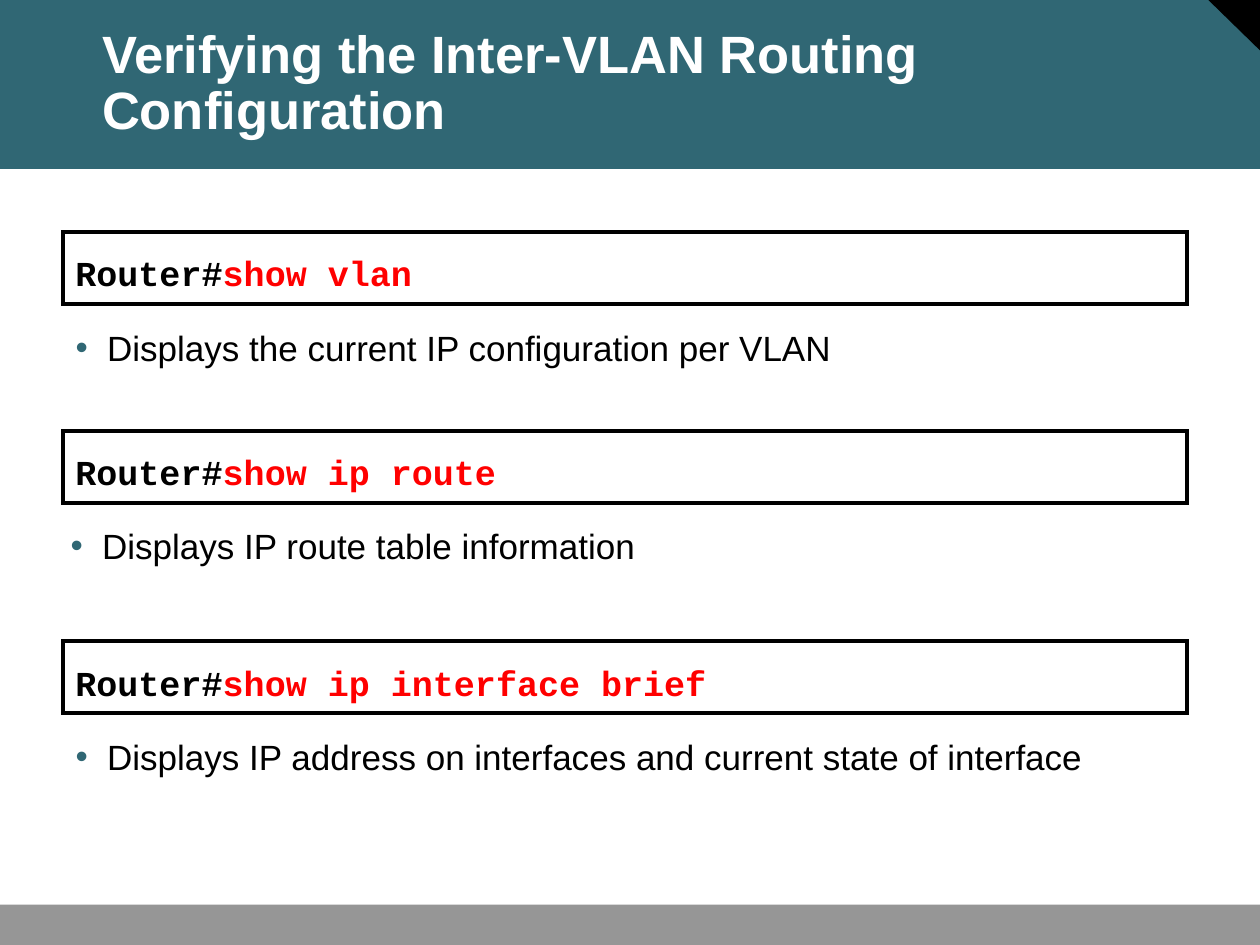
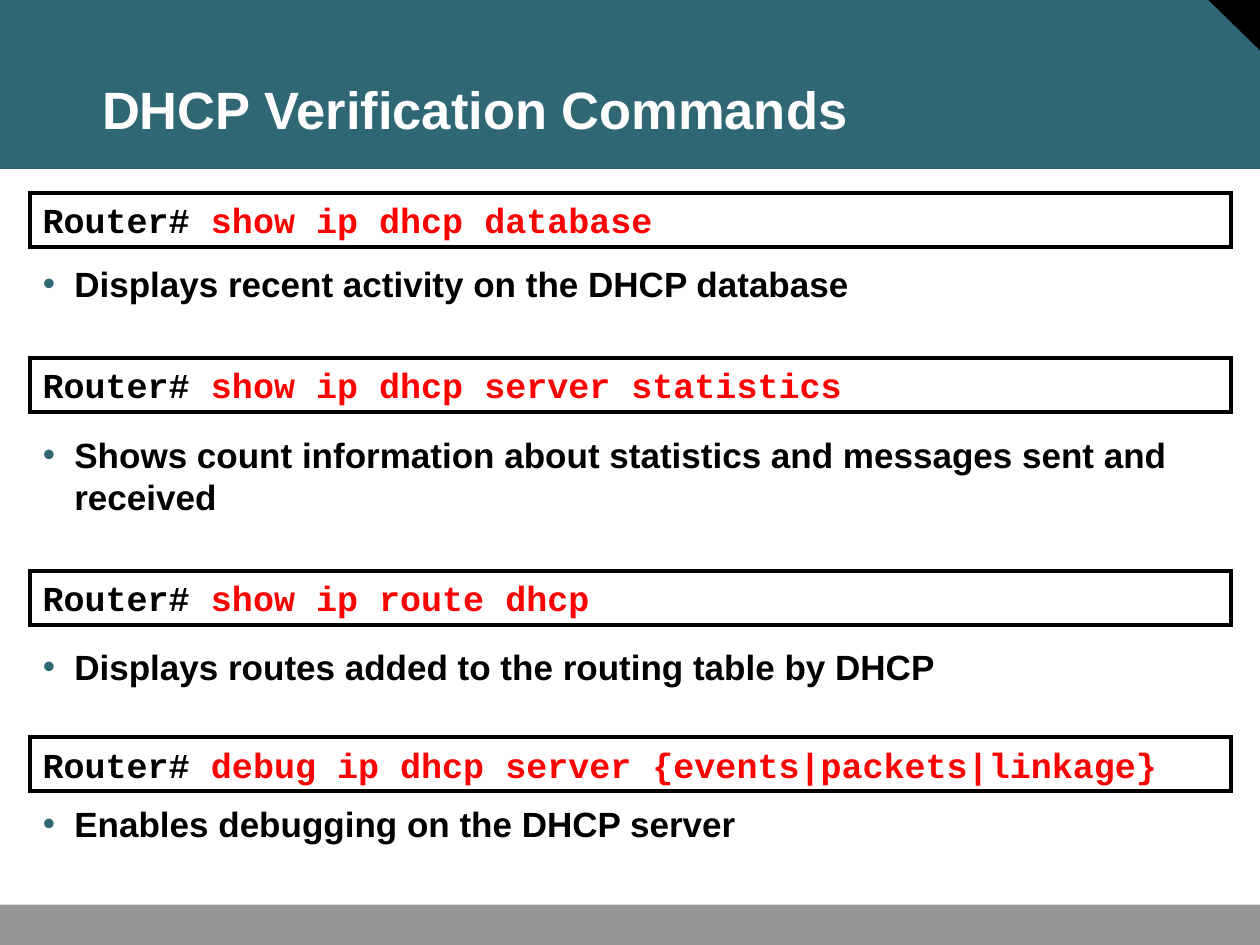
import pptx
import pptx.dml.color
import pptx.enum.shapes
import pptx.enum.text
import pptx.oxml
import pptx.util

Inches = pptx.util.Inches
Pt = pptx.util.Pt
Shape = pptx.enum.shapes.MSO_SHAPE
Anchor = pptx.enum.text.MSO_ANCHOR

PAGES = [
    {
        "title": "Verifying the Inter-VLAN Routing Configuration",
        "prompt": "Router#",
        "left": 0.5, "width": 8.92, "box_height": 0.57, "box_inset": 0.08,
        "box_fill": "white", "bold_notes": False,
        "commands": [
            {"top": 1.84, "command": "show vlan", "note_top": 2.54,
             "note": "Displays the current IP configuration per VLAN"},
            {"top": 3.42, "command": "show ip route", "note_top": 4.11, "outdent": 0.04,
             "note": "Displays IP route table information"},
            {"top": 5.09, "command": "show ip interface brief", "note_top": 5.79,
             "note": "Displays IP address on interfaces and current state of interface"},
        ],
    },
    {
        "title": "DHCP Verification Commands",
        "prompt": "Router# ",
        "left": 0.24, "width": 9.53, "box_height": 0.43, "box_inset": 0.05,
        "box_fill": None, "bold_notes": True,
        "commands": [
            {"top": 1.53, "command": "show ip dhcp database", "note_top": 2.03,
             "note": "Displays recent activity on the DHCP database"},
            {"top": 2.84, "command": "show ip dhcp server statistics", "note_top": 3.39, "lines": 2,
             "note": "Shows count information about statistics and messages sent and received"},
            {"top": 4.53, "command": "show ip route dhcp", "note_top": 5.07,
             "note": "Displays routes added to the routing table by DHCP"},
            {"top": 5.85, "command": "debug ip dhcp server {events|packets|linkage}", "note_top": 6.32,
             "note": "Enables debugging on the DHCP server"},
        ],
    },
]

THEME = {
    "colors": {"teal": "306774", "grey": "969696", "black": "000000",
               "white": "FFFFFF", "red": "FF0000"},
    "title": {"name": "Arial", "size": Pt(30), "bold": True},
    "code": {"name": "Courier New", "size": Pt(20), "bold": True},
    "note": {"name": "Arial", "size": Pt(20)},
    "outline": Pt(2.25),
    "line_height": 0.33,
    "padding": 0.11,
}

BANDS = [
    (Shape.RECTANGLE, (0, 0, 10, 1.34), "teal", 0),
    (Shape.RIGHT_TRIANGLE, (9.58, -0.01, 0.42, 0.41), "black", 180),
    (Shape.RECTANGLE, (0, 7.18, 10, 0.33), "grey", 0),
]

TITLE_AREA = (0.72, 0.25, 8.91, 0.92)
COMPARISON_LAYOUT = 4
NAMESPACE = 'xmlns:a="http://schemas.openxmlformats.org/drawingml/2006/main"'


def color(name):
    return pptx.dml.color.RGBColor.from_string(THEME["colors"][name])


def assign(target, values):
    for key, value in values.items():
        setattr(target, key, value)


def place(shape, area):
    assign(shape, dict(zip(("left", "top", "width", "height"), map(Inches, area))))


def prepare_frame(frame, anchor, inset_x, inset_top, inset_bottom):
    assign(frame, {
        "word_wrap": True,
        "auto_size": pptx.enum.text.MSO_AUTO_SIZE.NONE,
        "vertical_anchor": anchor,
        "margin_left": Inches(inset_x), "margin_right": Inches(inset_x),
        "margin_top": Inches(inset_top), "margin_bottom": Inches(inset_bottom),
    })
    para = frame.paragraphs[0]
    assign(para, {"alignment": pptx.enum.text.PP_ALIGN.LEFT,
                  "space_before": Pt(0), "line_spacing": 1.0})
    return para


def add_span(para, text, style, tint):
    span = para.add_run()
    span.text = text
    assign(span.font, style)
    span.font.color.rgb = color(tint)


def add_block(page, kind, area, fill):
    block = page.shapes.add_shape(kind, *map(Inches, area))
    block.shadow.inherit = False
    if fill:
        block.fill.solid()
        block.fill.fore_color.rgb = color(fill)
    else:
        block.fill.background()
    block.line.fill.background()
    return block


def add_bands(master, page):
    for position, (kind, area, fill, rotation) in enumerate(BANDS, start=2):
        band = add_block(page, kind, area, fill)
        band.rotation = rotation
        master.shapes._spTree.insert(position, band._element)


def add_markup(parent, *parts):
    for part in parts:
        parent.append(pptx.oxml.parse_xml(f"<a:{part.replace(' ', f' {NAMESPACE} ', 1)}/>"))


def add_bullet(para):
    properties = para._p.get_or_add_pPr()
    properties.set("marL", str(Inches(0.25)))
    properties.set("indent", str(-Inches(0.25)))
    add_markup(properties, "buClr ", 'buFont typeface="Arial"', 'buChar char="•"')
    add_markup(properties[-3], f'srgbClr val="{THEME["colors"]["teal"]}"')


def fill_title(title, text):
    place(title, TITLE_AREA)
    para = prepare_frame(title.text_frame, Anchor.BOTTOM, 0.09, 0.04, 0.05)
    para.line_spacing = 0.9
    add_span(para, text, THEME["title"], "white")


def add_command(page, content, entry):
    area = (content["left"], entry["top"], content["width"], content["box_height"])
    box = add_block(page, Shape.RECTANGLE, area, content["box_fill"])
    box.line.color.rgb = color("black")
    box.line.width = THEME["outline"]
    add_markup(box.line._get_or_add_ln(), 'miter lim="800000"')
    para = prepare_frame(box.text_frame, Anchor.BOTTOM, 0.1, 0, content["box_inset"])
    add_span(para, content["prompt"], THEME["code"], "black")
    add_span(para, entry["command"], THEME["code"], "red")


def fill_note(holder, content, entry):
    outdent = entry.get("outdent", 0)
    height = entry.get("lines", 1) * THEME["line_height"] + THEME["padding"]
    place(holder, (content["left"] - outdent, entry["note_top"],
                   content["width"] + outdent, height))
    para = prepare_frame(holder.text_frame, Anchor.TOP, 0.1, 0.05, 0.05)
    add_bullet(para)
    style = {**THEME["note"], "bold": content["bold_notes"]}
    add_span(para, entry["note"], style, "black")


def build_page(page, content):
    fill_title(page.shapes.title, content["title"])
    holders = [holder for holder in page.placeholders if holder.placeholder_format.idx > 0]
    for holder, entry in zip(holders, content["commands"]):
        add_command(page, content, entry)
        fill_note(holder, content, entry)
    for spare in holders[len(content["commands"]):]:
        spare._element.getparent().remove(spare._element)


def main():
    deck = pptx.Presentation()
    deck.slide_width, deck.slide_height = Inches(10), Inches(7.5)
    layout = deck.slide_layouts[COMPARISON_LAYOUT]
    pages = [deck.slides.add_slide(layout) for _ in PAGES]
    add_bands(deck.slide_master, pages[0])
    for page, content in zip(pages, PAGES):
        build_page(page, content)
    deck.save("out.pptx")


if __name__ == "__main__":
    main()
